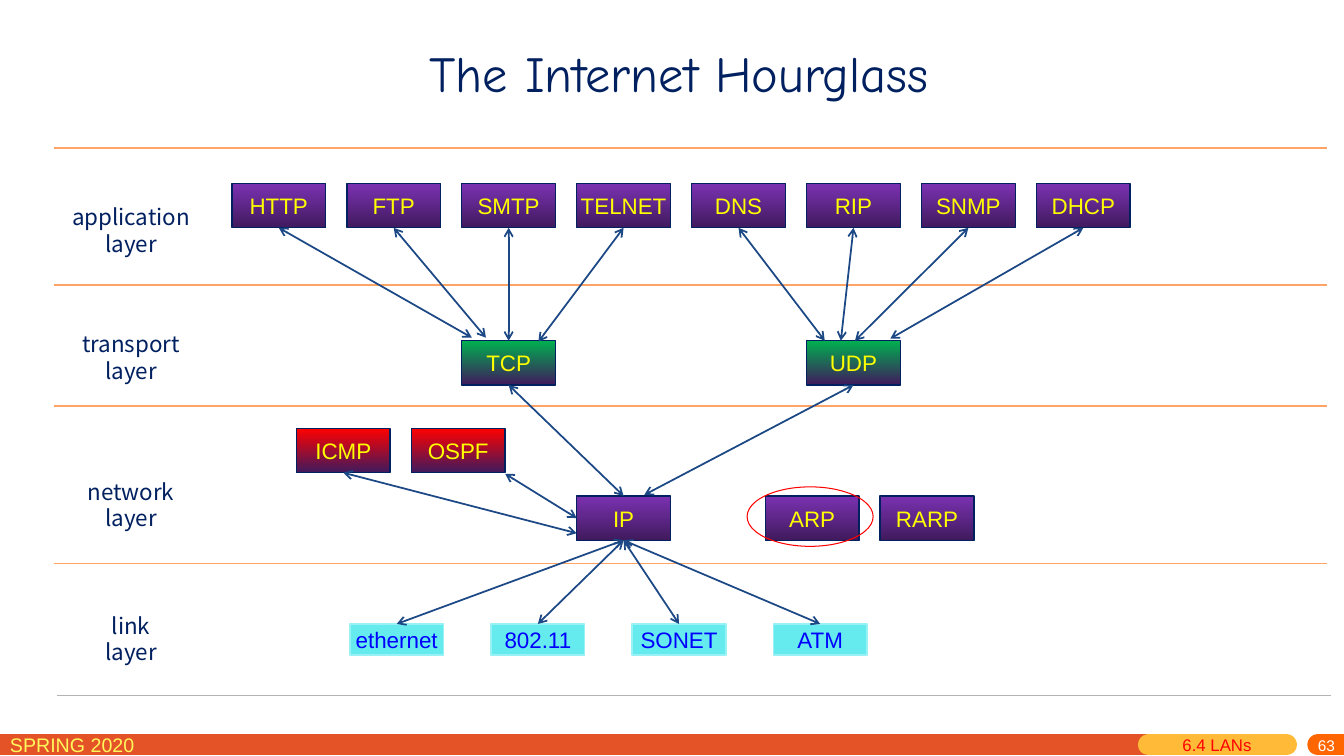
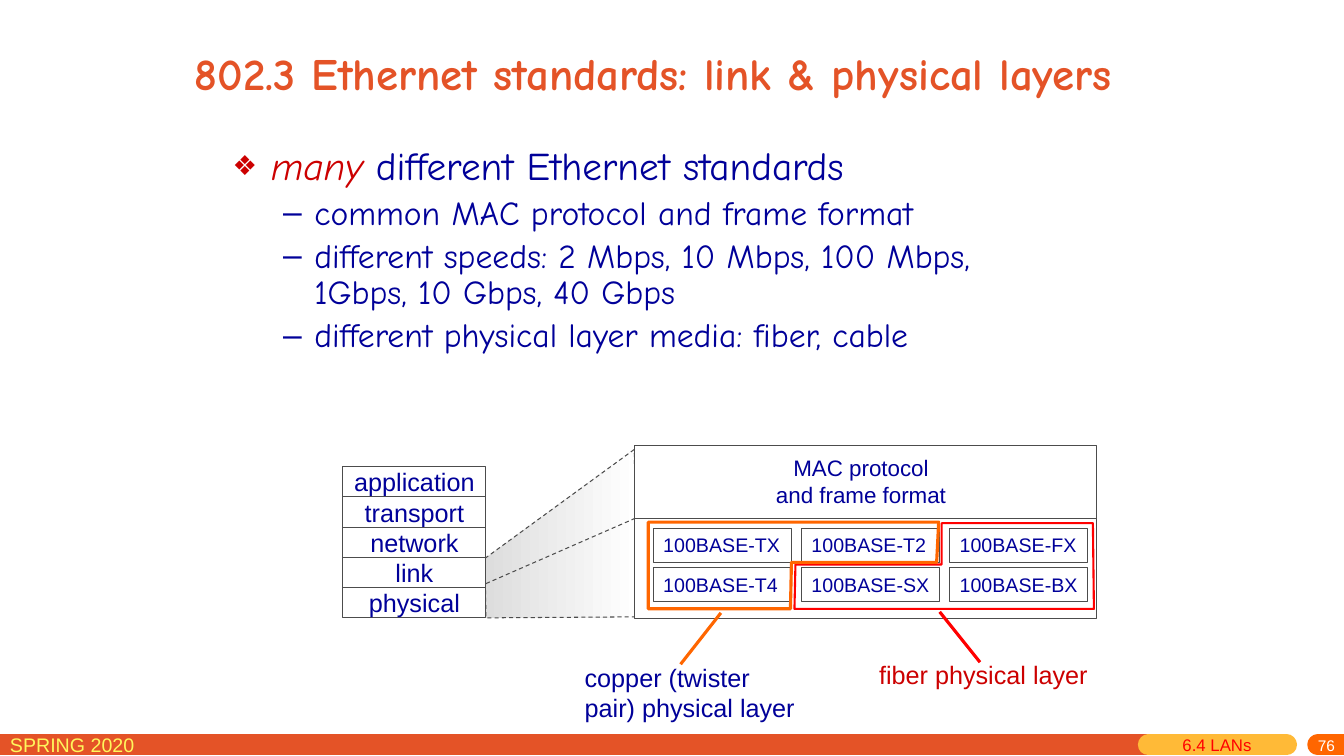
from lxml import etree
from pptx import Presentation
from pptx.dml.color import RGBColor
from pptx.enum import dml, shapes, text
from pptx.oxml import ns
from pptx.util import Inches, Pt

SANS, HAND, LABEL = "Arial", "Comic Neue", "Noto Sans CJK SC"
NAVY, BLUE, RED, CRIMSON = "002060", "000099", "FF0000", "CC0000"
ORANGE, AMBER, VIVID = "E45327", "FFBA37", "FF6600"
RULE, GREY, INK, LINK = "FFA366", "B3B3B3", "4C4C4C", "1C4885"
PURPLE, GREEN, DEEP = "7B32B2", "00B050", "401A5D"
YELLOW, CYAN, CYAN_EDGE = "FFFF00", "65EAEE", "98F1F4"
LEFT, CENTER, RIGHT = text.PP_ALIGN.LEFT, text.PP_ALIGN.CENTER, text.PP_ALIGN.RIGHT
TOP, MIDDLE = text.MSO_ANCHOR.TOP, text.MSO_ANCHOR.MIDDLE
RECT, OVAL = shapes.MSO_SHAPE.RECTANGLE, shapes.MSO_SHAPE.OVAL


def color(value):
    """Turn a hex string into a colour."""
    return RGBColor.from_string(value)


def add_xml(parent, tag, **attributes):
    """Append a DrawingML element."""
    return etree.SubElement(parent, ns.qn("a:" + tag), attributes)


def set_font(font, name, size, tint, bold=False):
    """Format a font."""
    font.name, font.size, font.bold = name, Pt(size), bold
    font.color.rgb = color(tint)


def write(frame, lines, size, tint, name=SANS, align=LEFT, anchor=TOP,
          wrap=True, insets=(0.1, 0.05), bold=False):
    """Fill a text frame, one paragraph for each line."""
    frame.word_wrap, frame.vertical_anchor = wrap, anchor
    frame.auto_size = text.MSO_AUTO_SIZE.NONE
    frame.margin_left = frame.margin_right = Inches(insets[0])
    frame.margin_top = frame.margin_bottom = Inches(insets[1])
    for index, line in enumerate(lines):
        para = frame.add_paragraph() if index else frame.paragraphs[0]
        para.text, para.alignment = line, align
        set_font(para.font, name, size, tint, bold)


def add_text(page, left, top, width, height, lines, size, tint, **style):
    """Add a text box."""
    box = page.shapes.add_textbox(*map(Inches, (left, top, width, height)))
    write(box.text_frame, lines, size, tint, **style)
    return box


def paint(shape, fill, line, weight, angle=270):
    """Set fill, outline and shadow; a pair of fills makes a gradient."""
    shape.shadow.inherit = False
    if fill is None:
        shape.fill.background()
    elif isinstance(fill, tuple):
        shape.fill.gradient()
        shape.fill.gradient_angle = angle
        for stop, tint in zip(shape.fill.gradient_stops, fill):
            stop.color.rgb = color(tint)
    else:
        shape.fill.solid()
        shape.fill.fore_color.rgb = color(fill)
    shape.line.color.rgb = color(line)
    shape.line.width = Pt(weight)


def add_box(page, left, top, width, height, fill, line, weight=0.75, kind=RECT):
    """Add a painted preset shape."""
    box = page.shapes.add_shape(kind, *map(Inches, (left, top, width, height)))
    paint(box, fill, line, weight)
    return box


def add_outline(page, left, top, points, line, weight, fill=None, closed=True):
    """Add a freeform whose points are relative to left and top."""
    dots = [(Inches(left + x), Inches(top + y)) for x, y in points]
    builder = page.shapes.build_freeform(*dots[0], scale=1.0)
    builder.add_line_segments(dots[1:], close=closed)
    outline = builder.convert_to_shape()
    paint(outline, fill, line, weight, angle=0)
    return outline


def add_line(page, start, end, tint, weight=1.25, arrows=False, cap=None):
    """Draw a line between points or (shape, side) pairs."""
    joined = [not isinstance(tip[0], (int, float)) for tip in (start, end)]
    spots = [(0, 0) if glued else tip for glued, tip in zip(joined, (start, end))]
    line = page.shapes.add_connector(
        shapes.MSO_CONNECTOR.STRAIGHT, *(Inches(value) for spot in spots for value in spot))
    if joined[0]:
        line.begin_connect(*start)
    if joined[1]:
        line.end_connect(*end)
    line.line.color.rgb = color(tint)
    line.line.width = Pt(weight)
    stroke = line.line._get_or_add_ln()
    if cap:
        stroke.set("cap", cap)
    if arrows:
        add_xml(stroke, "headEnd", type="arrow")
        add_xml(stroke, "tailEnd", type="arrow")
    add_xml(line._element.spPr, "effectLst")
    return line


def add_page(deck, number, title, box, size, tint, align, bold):
    """Add a slide with its title and footer band."""
    page = deck.slides.add_slide(deck.slide_layouts[5])
    head = page.shapes.title
    head.left, head.top, head.width, head.height = map(Inches, box)
    write(head.text_frame, [title], size, tint, name=HAND, align=align, anchor=MIDDLE, bold=bold)
    for start, end, band in ((-0.18, 11.39, ORANGE), (11.39, 12.76, AMBER), (13.07, 13.6, VIVID)):
        add_line(page, (start, 7.39), (end, 7.39), band, 15, cap="rnd")
    add_text(page, 0, 7.22, 2.29, 0.31, ["SPRING 2020"], 14, "FFF65C")
    add_text(page, 10.75, 7.3, 2.59, 0.18, [number], 11, "FFFFFF",
             align=RIGHT, anchor=MIDDLE, insets=(0.1, 0))
    add_text(page, 11.63, 7.24, 1.1, 0.31, ["6.4 LANs"], 12, RED)
    return page


def add_layer(page, left, top, label, label_top, nodes):
    """Draw one layer: rule, label and protocol boxes; return the boxes by name."""
    add_line(page, (left, top), (left + 12.62, top), RULE)
    add_text(page, left - 0.02, top + label_top, 1.56, 0.64, [label, "layer"], 16, NAVY,
             name=LABEL, align=CENTER)
    found = {}
    for name, x, y, tint in nodes:
        link = tint == CYAN
        box = add_box(page, left + x, top + y, 0.93, 0.31 if link else 0.44,
                      CYAN if link else (tint, DEEP), CYAN_EDGE if link else NAVY, 1)
        write(box.text_frame, [name], 16, "0000FF" if link else YELLOW,
              align=CENTER, anchor=MIDDLE, insets=(0, 0), wrap=False)
        found[name] = box
    return found


def add_hourglass(page, left, top):
    """Draw the four layers and the arrows between their protocols."""
    names = ("HTTP", "FTP", "SMTP", "TELNET", "DNS", "RIP", "SNMP", "DHCP")
    columns = [1.76 + 1.14 * index for index in range(len(names))]
    media = ("ethernet", "802.11", "SONET", "ATM")
    layers = (
        ("application", 0, 0.5, [(name, x, 0.35, PURPLE) for name, x in zip(names, columns)]),
        ("transport", 1.36, 0.4, [("TCP", columns[2], 0.55, GREEN), ("UDP", columns[5], 0.55, GREEN)]),
        ("network", 2.56, 0.66, [
            ("IP", columns[3], 0.89, PURPLE), ("ICMP", 2.4, 0.22, RED), ("OSPF", 3.54, 0.22, RED),
            ("ARP", 7.05, 0.89, PURPLE), ("RARP", 8.19, 0.89, PURPLE)]),
        ("link", 4.12, 0.43, [(name, 2.93 + 1.4 * index, 0.6, CYAN)
                              for index, name in enumerate(media)]),
    )
    nodes = {}
    for label, down, label_top, members in layers:
        nodes.update(add_layer(page, left, top + down, label, label_top, members))
    add_line(page, (left + 0.03, top + 5.43), (left + 12.66, top + 5.43), GREY, 0.75)

    def spot(x, y):
        """Place a point in the diagram."""
        return left + x, top + y

    tips = (spot(4.14, 1.88), spot(4.28, 1.88), (nodes["TCP"], 0), spot(4.8, 1.92),
            spot(7.64, 1.91), spot(7.8, 1.91), spot(7.94, 1.91), spot(8.29, 1.89))
    arrows = [((nodes[name], 2), tip) for name, tip in zip(names, tips)]
    arrows += [((nodes["TCP"], 2), (nodes["IP"], 0)),
               ((nodes["UDP"], 2), spot(5.85, 3.44)),
               (spot(4.47, 3.23), (nodes["IP"], 1)),
               ((nodes["ICMP"], 2), spot(5.18, 3.82))]
    arrows += [((nodes[name], 0), (nodes["IP"], 2)) for name in media]
    for start, end in arrows:
        add_line(page, start, end, LINK, arrows=True)
    add_box(page, left + 6.87, top + 3.36, 1.25, 0.59, None, RED, kind=OVAL)


def add_bullets(page, left, top, width, height):
    """Write the bulleted summary."""
    items = ("common MAC protocol and frame format",
             "different speeds: 2 Mbps, 10 Mbps, 100 Mbps, 1Gbps, 10 Gbps, 40 Gbps",
             "different physical layer media: fiber, cable")
    rows = [((("many ", CRIMSON), ("different Ethernet standards", BLUE)),
             28, 0.38, 0.38, "❖", CRIMSON, "70000")]
    rows += [(((item, BLUE),), 24, 0.81, 0.31, "–", BLUE, "100000") for item in items]
    frame = add_text(page, left, top, width, height, [], 24, BLUE).text_frame
    for index, (spans, size, indent, hang, mark, mark_tint, scale) in enumerate(rows):
        para = frame.add_paragraph() if index else frame.paragraphs[0]
        para.level = min(index, 1)
        para.line_spacing, para.space_before = 0.9, Pt(size * 0.2)
        props = para._p.get_or_add_pPr()
        props.set("marL", str(Inches(indent)))
        props.set("indent", str(-Inches(hang)))
        add_xml(add_xml(props, "buClr"), "srgbClr", val=mark_tint)
        add_xml(props, "buSzPct", val=scale)
        add_xml(props, "buFont", typeface=SANS)
        add_xml(props, "buChar", char=mark)
        para.font.name, para.font.size = HAND, Pt(size)
        for words, tint in spans:
            span = para.add_run()
            span.text = words
            span.font.italic = tint == CRIMSON
            span.font.color.rgb = color(tint)


def add_stack(page, left, top, width, height):
    """Draw the protocol stack."""
    layers = ("application", "transport", "network", "link", "physical")
    box = add_box(page, left, top, width, height, "FFFFFF", INK)
    write(box.text_frame, layers, 18, BLUE, align=CENTER, anchor=MIDDLE, wrap=False)
    for row in range(1, len(layers)):
        level = top + row * height / len(layers)
        add_line(page, (left, level), (left + width, level), INK, 0.75)


def add_zoom(page, left, top):
    """Draw the shaded wedge from the stack to the panel."""
    wedge = ((1.48, 0), (0, 1.08), (0.01, 1.67), (1.52, 1.66))
    sides = (add_outline(page, left, top, wedge, INK, 0.75, fill=("DDDDDD", "FFFFFF")),
             add_outline(page, left, top, ((0.01, 1.33), (1.54, 0.66)), INK, 0.75, closed=False))
    for side in sides:
        side.line.dash_style = dml.MSO_LINE.DASH


def add_standards(page, left, top, width, height):
    """Draw the panel of Ethernet standards grouped by medium."""
    add_box(page, left, top, width, height, "FFFFFF", INK)
    add_line(page, (left, top + 0.72), (left + width, top + 0.72), INK, 0.75)
    add_text(page, left + 1.3, top + 0.04, 1.9, 0.64, ["MAC protocol", "and frame format"],
             16, BLUE, align=CENTER, wrap=False)
    grid = (("TX", "T2", "FX"), ("T4", "SX", "BX"))
    for row, names in enumerate(grid):
        for column, name in enumerate(names):
            cell = add_box(page, left + 0.19 + 1.47 * column, top + 0.82 + 0.39 * row,
                           1.37, 0.34, None, INK)
            write(cell.text_frame, ["100BASE-" + name], 14, BLUE, wrap=False)
    fiber = ((3.05, 0.77), (3.05, 1.18), (1.6, 1.18), (1.59, 1.62), (4.56, 1.62), (4.55, 0.77))
    copper = ((3.02, 0.76), (3, 1.16), (1.56, 1.16), (1.55, 1.62), (0.14, 1.62), (0.14, 0.76))
    groups = (
        (fiber, RED, 1.5, (3.03, 1.65), (3.43, 2.15), (2.33, 2.07, 2.29, 0.4),
         ["fiber physical layer"], CRIMSON),
        (copper, VIVID, 2.25, (0.86, 1.66), (0.46, 2.17), (-0.59, 2.1, 2.31, 0.71),
         ["copper (twister", "pair) physical layer"], BLUE),
    )
    for points, tint, weight, start, end, (x, y, wide, high), caption, ink in groups:
        add_outline(page, left, top, points, tint, weight)
        add_line(page, (left + start[0], top + start[1]), (left + end[0], top + end[1]), tint, 2.25)
        add_text(page, left + x, top + y, wide, high, caption, 18, ink, wrap=False)


def main():
    """Build and save the deck."""
    deck = Presentation()
    deck.slide_width, deck.slide_height = Inches(13.33), Inches(7.5)
    page = add_page(deck, "63", "The Internet Hourglass", (3.64, 0.36, 6.19, 0.71),
                    36, NAVY, CENTER, False)
    add_hourglass(page, 0.54, 1.47)
    page = add_page(deck, "76", "802.3 Ethernet standards: link & physical layers",
                    (1.83, 0.1, 10.9, 1.25), 32, ORANGE, LEFT, True)
    add_bullets(page, 2.21, 1.41, 8.5, 2.3)
    add_zoom(page, 4.81, 4.46)
    add_stack(page, 3.4, 4.63, 1.42, 1.5)
    add_standards(page, 6.29, 4.42, 4.59, 1.72)
    deck.save("out.pptx")


if __name__ == "__main__":
    main()
